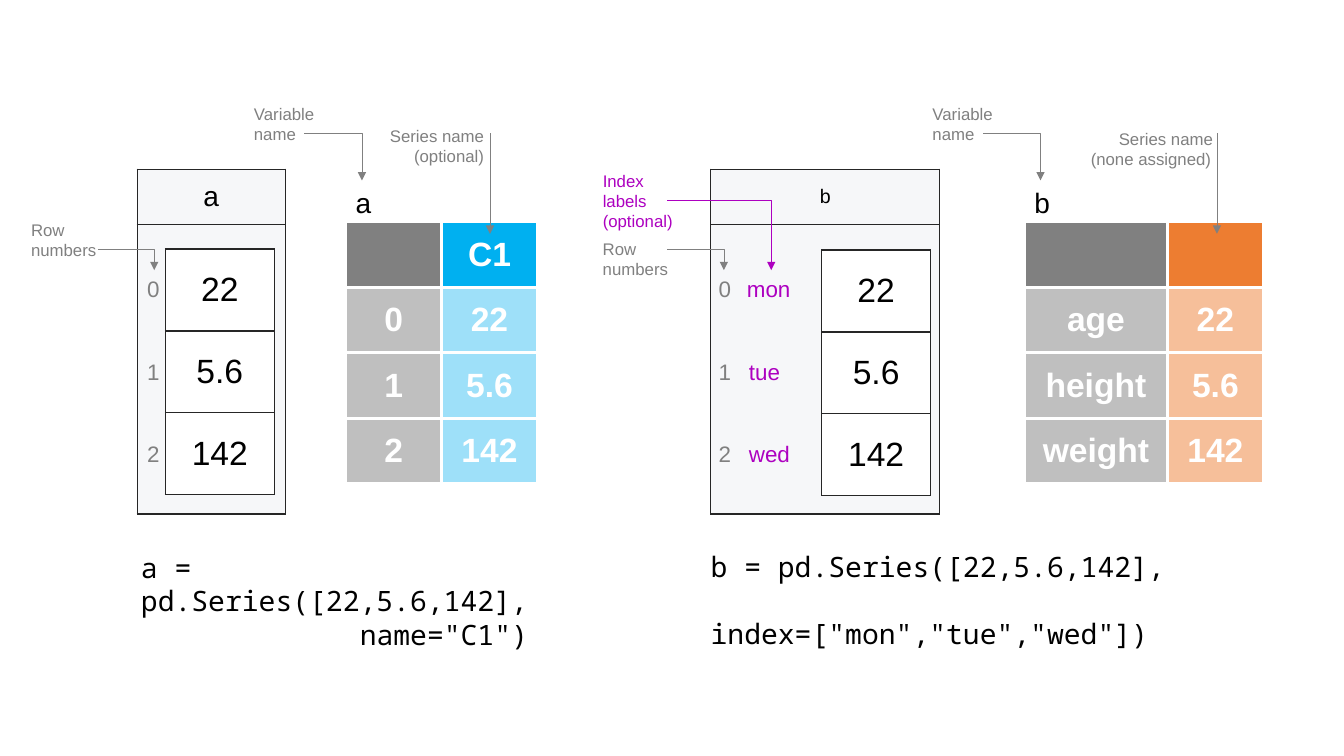
import pptx
import pptx.util
import pptx.dml.color
import pptx.enum.shapes
import pptx.enum.text
import pptx.oxml
import pptx.oxml.ns
import lxml.etree

Inches = pptx.util.Inches
Pt = pptx.util.Pt
RGBColor = pptx.dml.color.RGBColor
ALIGN = pptx.enum.text.PP_ALIGN
CONNECTOR = pptx.enum.shapes.MSO_CONNECTOR
qn = pptx.oxml.ns.qn

BLACK = RGBColor(0x00, 0x00, 0x00)
WHITE = RGBColor(0xFF, 0xFF, 0xFF)
GRAY = RGBColor(0x80, 0x80, 0x80)
LIGHT_GRAY = RGBColor(0xBF, 0xBF, 0xBF)
PANEL = RGBColor(0xF6, 0xF7, 0xF9)
OUTLINE = RGBColor(0x26, 0x26, 0x26)
PURPLE = RGBColor(0xAD, 0x00, 0xC0)
BLUE = RGBColor(0x00, 0xB0, 0xF0)
ORANGE = RGBColor(0xED, 0x7D, 0x31)

VALUES = ["22", "5.6", "142"]


def write_text(frame, text, size=12, color=GRAY, bold=False,
               align=ALIGN.LEFT, font="Arial"):
    for number, line in enumerate(text.split("\n")):
        paragraph = frame.add_paragraph() if number else frame.paragraphs[0]
        paragraph.alignment = align
        run = paragraph.add_run()
        run.text = line
        run.font.name = font
        run.font.size = Pt(size)
        run.font.bold = bold
        run.font.color.rgb = color
    return frame.paragraphs


class SeriesSlide:
    def __init__(self, slide):
        self.slide = slide
        self.arrow_width = Pt(0.5)

    def label(self, text, x, y, width, height, wrap=True, **style):
        frame = self.slide.shapes.add_textbox(
            Inches(x), Inches(y), Inches(width), Inches(height)).text_frame
        frame.word_wrap = wrap
        return write_text(frame, text, **style)

    def arrow(self, start, end, color=GRAY):
        bent = start[0] != end[0]
        connector = self.slide.shapes.add_connector(
            CONNECTOR.ELBOW if bent else CONNECTOR.STRAIGHT,
            *[Inches(length) for length in start + end])
        connector.line.color.rgb = color
        connector.line.width = self.arrow_width
        properties = connector._element.spPr
        if bent:
            properties.find(qn("a:prstGeom")).set("prst", "bentConnector2")
        line = properties.find(qn("a:ln"))
        lxml.etree.SubElement(line, qn("a:tailEnd"), type="triangle")
        lxml.etree.SubElement(properties, qn("a:effectLst"))

    def borders(self, cell, color, width):
        properties = cell._tc.get_or_add_tcPr()
        for side in ("a:lnL", "a:lnR", "a:lnT", "a:lnB"):
            line = lxml.etree.SubElement(properties, qn(side), w=str(Pt(width)))
            solid = lxml.etree.SubElement(line, qn("a:solidFill"))
            lxml.etree.SubElement(solid, qn("a:srgbClr"), val=str(color))

    def table(self, x, y, widths, heights, rows, fill_of, border, width, **style):
        table = self.slide.shapes.add_table(
            len(heights), len(widths), Inches(x), Inches(y),
            Inches(sum(widths)), Inches(sum(heights))).table
        table.first_row = table.horz_banding = False
        for column, length in zip(table.columns, widths):
            column.width = Inches(length)
        for row, length in zip(table.rows, heights):
            row.height = Inches(length)
        for r, row in enumerate(rows):
            for c, text in enumerate(row):
                cell = table.cell(r, c)
                self.borders(cell, border, width)
                color, opacity = fill_of(r, c)
                cell.fill.solid()
                cell.fill.fore_color.rgb = color
                if opacity < 100:
                    tint = cell._tc.tcPr.find(qn("a:solidFill"))[0]
                    lxml.etree.SubElement(tint, qn("a:alpha"), val=str(opacity * 1000))
                cell.vertical_anchor = pptx.enum.text.MSO_ANCHOR.MIDDLE
                if text:
                    write_text(cell.text_frame, text, align=ALIGN.CENTER, **style)

    def series_box(self, name, name_size, x, width, values_x, values_y, numbers_x):
        self.table(x, 1.68, [width], [0.55, 2.87], [[name], [""]],
                   lambda r, c: (PANEL, 100), OUTLINE, 1, size=name_size, color=BLACK)
        self.table(values_x, values_y, [1.08], [0.813] * 3, [[v] for v in VALUES],
                   lambda r, c: (WHITE, 100), OUTLINE, 1, size=24, color=BLACK)
        for row in range(3):
            self.label(str(row), numbers_x, 2.68 + 0.82 * row, 0.35, 0.37, size=16)

    def data_frame(self, name, header, index, x, index_width, accent, opacity):
        def fill_of(r, c):
            if c == 0:
                return (LIGHT_GRAY if r else GRAY), 100
            return accent, (opacity if r else 100)

        rows = [["", header]] + [list(pair) for pair in zip(index, VALUES)]
        self.table(x, 2.2, [index_width, 0.95], [0.65] * 4, rows, fill_of,
                   WHITE, 2.25, size=24, color=WHITE, bold=True)
        self.label(name, x, 1.79, 0.36, 0.44, wrap=False, size=20, color=BLACK)
        self.label("Variable name", x - 1.01, 0.98, 1.05, 0.5)
        self.arrow((x - 0.41, 1.32), (x + 0.16, 1.79))

    def row_numbers(self, x, y, arrow_x):
        self.label("Row numbers", x, y, 1.03, 0.5)
        self.arrow((arrow_x, 2.47), (arrow_x + 0.56, 2.68))

    def series_name(self, note, x, y, width, arrow_x):
        self.arrow((arrow_x, 1.32), (arrow_x, 2.32))
        return self.label("Series name\n" + note, x, y, width, 0.5, align=ALIGN.RIGHT)

    def code(self, text, x, y, width):
        return self.label(text, x, y, width, 0.77, size=20, color=BLACK,
                          font="Noto Sans Mono")


deck = pptx.Presentation()
deck.slide_width, deck.slide_height = Inches(13.33), Inches(7.5)
page = SeriesSlide(deck.slides.add_slide(deck.slide_layouts[6]))

page.series_box("a", 20, 1.36, 1.47, 1.64, 2.47, 1.36)
page.row_numbers(0.21, 2.13, 0.97)
page.data_frame("a", "C1", ["0", "1", "2"], 3.43, 0.95, BLUE, 38)
page.series_name("(optional)", 3.61, 1.2, 1.29, 4.86)
code_a = page.code('a = pd.Series([22,5.6,142],\nname="C1")', 1.3, 5.41, 4.37)
code_a[1]._p.get_or_add_pPr().set("marL", str(Inches(2.17)))

page.series_box("b", 14, 7.05, 2.27, 8.15, 2.48, 7.03)
for row, (day, day_x) in enumerate([("mon", 7.31), ("tue", 7.33), ("wed", 7.33)]):
    page.label(day, day_x, 2.68 + 0.82 * row, 0.8, 0.37, size=16, color=PURPLE)
page.row_numbers(5.88, 2.32, 6.62)
page.label("Index labels\n(optional)", 5.88, 1.64, 1.02, 0.71, color=PURPLE)
page.arrow((6.62, 1.99), (7.65, 2.68), PURPLE)
page.data_frame("b", "", ["age", "height", "weight"], 10.16, 1.42, ORANGE, 49)
name_b = page.series_name("(none assigned)", 10.72, 1.23, 1.41, 12.07)
name_b[1].alignment = ALIGN.LEFT
code_b = page.code('b = pd.Series([22,5.6,142],\nindex=["mon","tue","wed"])', 6.95, 5.4, 5.22)
code_b[1].space_before = Pt(24)

deck.save("out.pptx")
